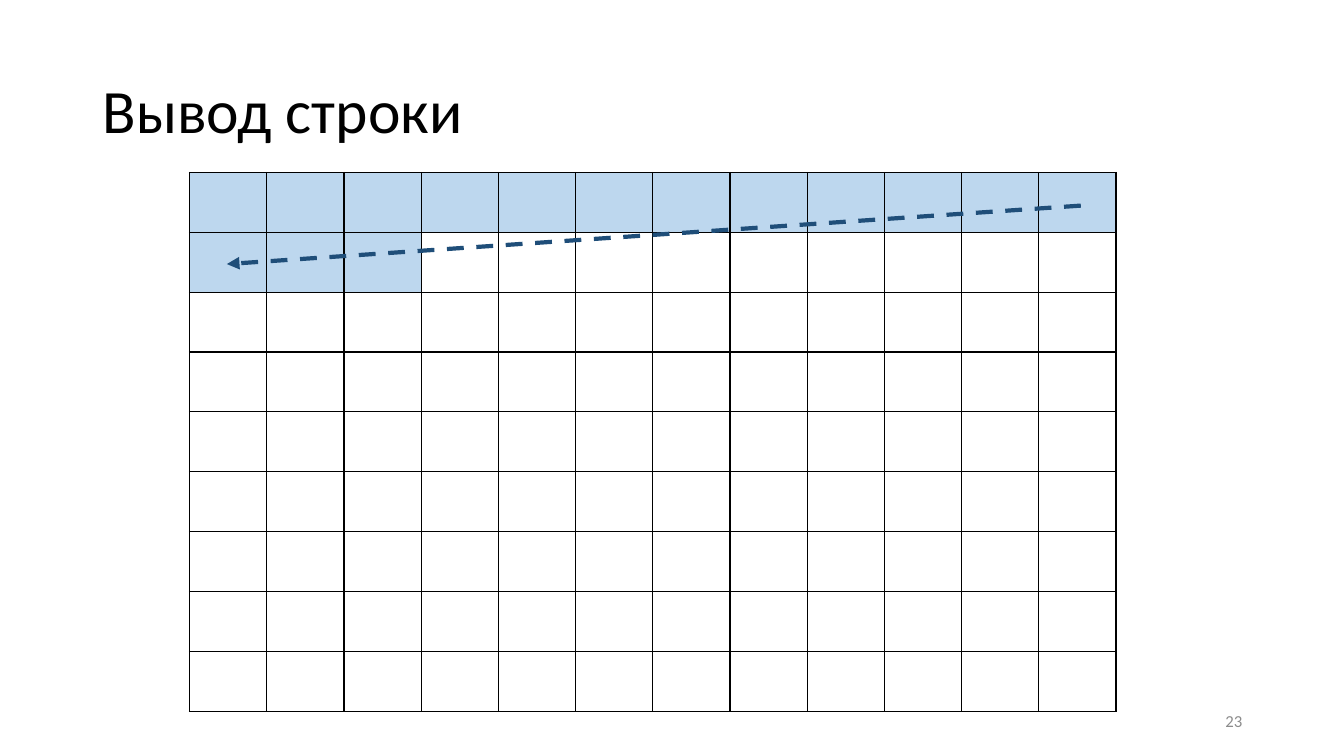
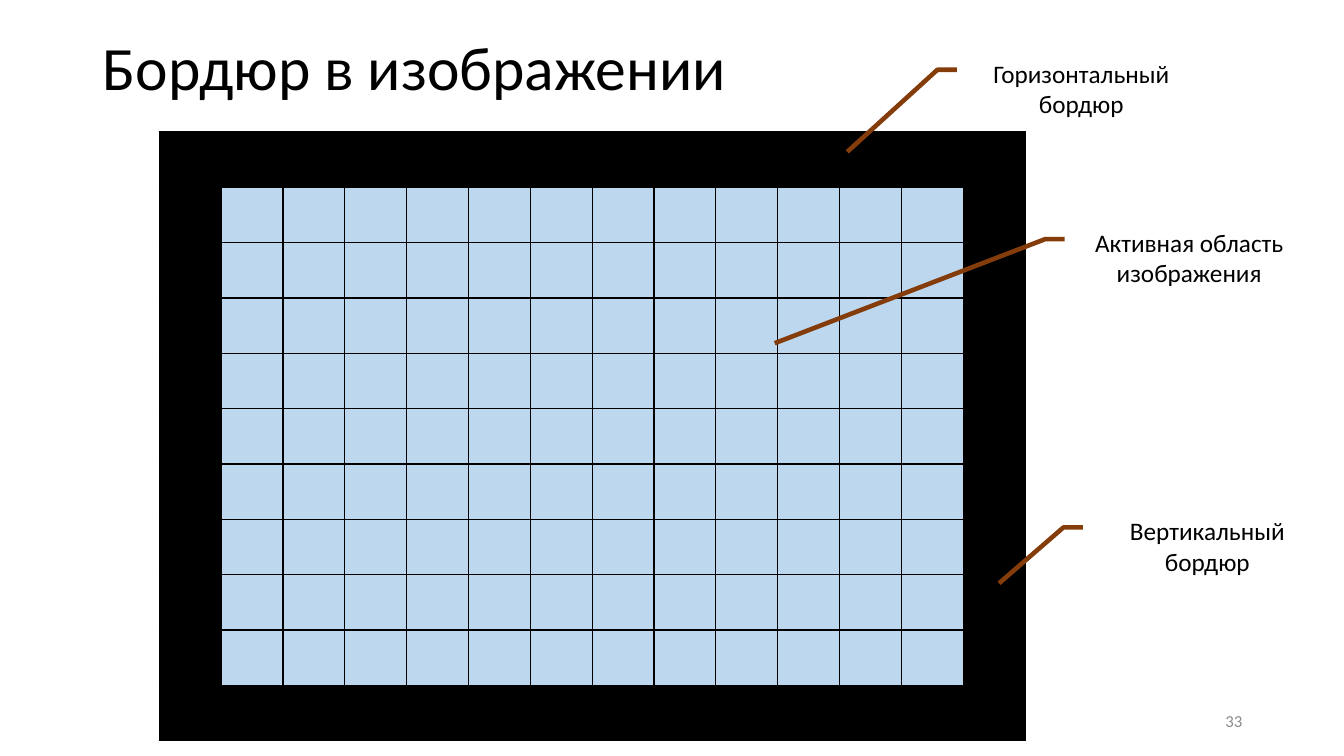
"""Build two slides about drawing an image row by row and its borders."""
from dataclasses import dataclass
from typing import Any, Callable, Optional

import lxml.etree
import pptx
import pptx.dml.color
import pptx.enum.dml
import pptx.enum.shapes
import pptx.enum.text
import pptx.oxml.ns
import pptx.util

Inches = pptx.util.Inches
Pt = pptx.util.Pt
qn = pptx.oxml.ns.qn
ALIGN = pptx.enum.text.PP_ALIGN


@dataclass(frozen=True)
class Theme:
    font: str = "Calibri"
    black: str = "000000"
    white: str = "FFFFFF"
    grey: str = "8C8C8C"
    pale: str = "BDD7EE"
    navy: str = "1F4E79"
    brown: str = "843C0B"
    title: float = 44
    label: float = 18
    small: float = 12


@dataclass(frozen=True)
class Box:
    left: float
    top: float
    width: float
    height: float

    def lengths(self) -> list[int]:
        return [Inches(v) for v in (self.left, self.top, self.width, self.height)]


@dataclass(frozen=True)
class Grid:
    box: Box
    rows: int
    cols: int
    paint: Callable[[int, int], Optional[str]]


@dataclass(frozen=True)
class Label:
    text: str
    left: float
    top: float
    tip: tuple[float, float]


THEME = Theme()
LABEL_WIDTH, LABEL_HEIGHT = 2.13, 0.59
BEND = (0.19, -0.08, 0.19, -0.17)


def color(code: str) -> pptx.dml.color.RGBColor:
    return pptx.dml.color.RGBColor.from_string(code)


def write(frame: Any, text: str, *, size: float, tint: str = THEME.black,
          align: Any = ALIGN.LEFT, space: float = 1.0) -> None:
    frame.word_wrap = True
    frame.auto_size = pptx.enum.text.MSO_AUTO_SIZE.NONE
    frame.vertical_anchor = pptx.enum.text.MSO_ANCHOR.MIDDLE
    para = frame.paragraphs[0]
    para.text = text
    para.alignment = align
    para.line_spacing = space
    para.font.name = THEME.font
    para.font.size = Pt(size)
    para.font.color.rgb = color(tint)


def start(deck: Any, title: str, box: Box, number: int) -> Any:
    slide = deck.slides.add_slide(deck.slide_layouts[5])
    head = slide.shapes.title
    head.left, head.top, head.width, head.height = box.lengths()
    write(head.text_frame, title, size=THEME.title, space=0.9)
    foot = slide.shapes.add_textbox(*Box(9.42, 6.95, 3, 0.4).lengths())
    write(foot.text_frame, str(number), size=THEME.small, tint=THEME.grey,
          align=ALIGN.RIGHT)
    return slide


def edge(cell: Any) -> None:
    props = cell._tc.get_or_add_tcPr()
    for side in ("a:lnL", "a:lnR", "a:lnT", "a:lnB"):
        line = lxml.etree.SubElement(props, qn(side), w=str(Pt(1)))
        fill = lxml.etree.SubElement(line, qn("a:solidFill"))
        lxml.etree.SubElement(fill, qn("a:srgbClr"), val=THEME.black)


def draw_grid(slide: Any, grid: Grid) -> None:
    table = slide.shapes.add_table(grid.rows, grid.cols, *grid.box.lengths()).table
    table.first_row = table.horz_banding = False
    for row in range(grid.rows):
        for col in range(grid.cols):
            cell = table.cell(row, col)
            edge(cell)
            tint = grid.paint(row, col)
            if tint:
                cell.fill.solid()
                cell.fill.fore_color.rgb = color(tint)
            else:
                cell.fill.background()


def draw_arrow(slide: Any, begin: tuple[float, float], end: tuple[float, float]) -> None:
    arrow = slide.shapes.add_connector(
        pptx.enum.shapes.MSO_CONNECTOR.STRAIGHT, *map(Inches, begin + end))
    arrow.line.color.rgb = color(THEME.navy)
    arrow.line.width = Pt(3)
    arrow.line.dash_style = pptx.enum.dml.MSO_LINE.DASH
    lxml.etree.SubElement(arrow.line._get_or_add_ln(), qn("a:tailEnd"), type="triangle")
    lxml.etree.SubElement(arrow._element.spPr, qn("a:effectLst"))


def draw_label(slide: Any, label: Label) -> None:
    box = Box(label.left, label.top, LABEL_WIDTH, LABEL_HEIGHT)
    shape = slide.shapes.add_shape(
        pptx.enum.shapes.MSO_SHAPE.LINE_CALLOUT_2_NO_BORDER, *box.lengths())
    for spot, value in enumerate(BEND + label.tip):
        shape.adjustments[spot] = value
    shape.shadow.inherit = False
    shape.fill.solid()
    shape.fill.fore_color.rgb = color(THEME.white)
    shape.line.color.rgb = color(THEME.brown)
    shape.line.width = Pt(3.25)
    write(shape.text_frame, label.text, size=THEME.label, align=ALIGN.CENTER)


def scan_paint(row: int, col: int) -> Optional[str]:
    return THEME.pale if row * 12 + col < 15 else None


def frame_paint(row: int, col: int) -> str:
    return THEME.pale if 0 < row < 10 and 0 < col < 13 else THEME.black


LABELS = (
    Label("Вертикальный бордюр", 10.91, 5.12, (1.13, -0.47)),
    Label("Горизонтальный бордюр", 9.66, 0.58, (1.57, -0.59)),
    Label("Активная область изображения", 10.73, 2.26, (1.94, -1.43)),
)


def main() -> None:
    deck = pptx.Presentation()
    deck.slide_width, deck.slide_height = Inches(13.33), Inches(7.5)

    scan = start(deck, "Вывод строки", Box(0.92, 0.4, 11.5, 1.45), 23)
    draw_grid(scan, Grid(Box(1.88, 1.71, 9.19, 5.35), 9, 12, scan_paint))
    draw_arrow(scan, (10.72, 2.04), (2.25, 2.62))

    border = start(deck, "Бордюр в изображении", Box(0.92, 0.22, 11.5, 0.95), 33)
    draw_grid(border, Grid(Box(1.58, 1.31, 8.59, 6.04), 11, 14, frame_paint))
    for label in LABELS:
        draw_label(border, label)

    deck.save("out.pptx")


if __name__ == "__main__":
    main()
